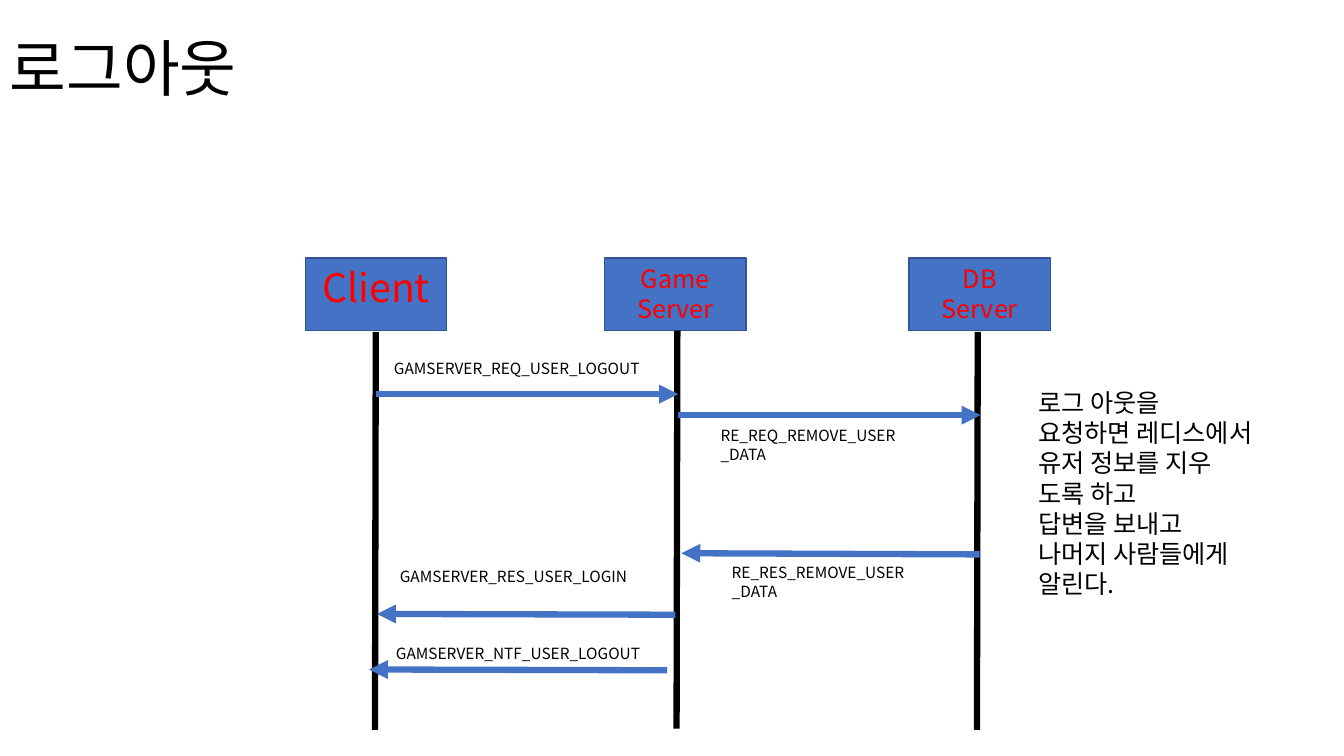
from lxml import etree
from pptx import Presentation
from pptx.dml.color import RGBColor
from pptx.enum import shapes, text
from pptx.oxml.ns import qn
from pptx.util import Cm, Pt

FONT = "Noto Sans CJK KR"
BLUE, BLACK, RED = "4472C4", "000000", "FF0000"

PARTICIPANTS = [
    (7.7, ["Client"], 28, (9.47, 8.36)),
    (15.24, ["Game", "Server"], 18, (17.07, 8.33)),
    (22.91, ["DB", "Server"], 18, (24.64, 8.36)),
]
MESSAGES = [
    ("GAMSERVER_REQ_USER_LOGOUT", (9.68, 8.92, 7.34), (9.47, 9.93), (17.09, 9.93)),
    ("RE_REQ_REMOVE_USER_DATA", (17.91, 10.62, 5.03), (17.09, 10.46), (24.71, 10.46)),
    ("RE_RES_REMOVE_USER_DATA", (18.19, 14.07, 5.03), (24.69, 13.97), (17.17, 13.94)),
    ("GAMSERVER_RES_USER_LOGIN", (9.83, 14.17, 7.34), (17.02, 15.49), (9.5, 15.47)),
    ("GAMSERVER_NTF_USER_LOGOUT", (9.73, 16.1, 7.34), (16.81, 16.89), (9.3, 16.87)),
]
EXPLANATION = [
    "로그 아웃을",
    "요청하면 레디스에서",
    "유저 정보를 지우",
    "도록 하고",
    "답변을 보내고",
    "나머지 사람들에게",
    "알린다.",
]


def rgb(value):
    return RGBColor.from_string(value)


def write(frame, lines, size, color, align=text.PP_ALIGN.LEFT, spacing=None):
    frame.word_wrap = True
    for index, line in enumerate(lines):
        paragraph = frame.paragraphs[0] if index == 0 else frame.add_paragraph()
        paragraph.text = line
        paragraph.alignment = align
        paragraph.line_spacing = spacing
        font = paragraph.font
        font.name = FONT
        font.size = Pt(size)
        font.color.rgb = rgb(color)
        defaults = paragraph._p.pPr.find(qn("a:defRPr"))
        etree.SubElement(defaults, qn("a:ea")).set("typeface", FONT)


def add_text(slide, left, top, width, height, lines, size, spacing=None):
    frame = slide.shapes.add_textbox(Cm(left), Cm(top), Cm(width), Cm(height)).text_frame
    write(frame, lines, size, BLACK, spacing=spacing)
    return frame


def add_line(slide, start, end, color, arrow=False):
    line = slide.shapes.add_connector(
        shapes.MSO_CONNECTOR.STRAIGHT, *[Cm(value) for value in (*start, *end)]
    )
    line.line.color.rgb = rgb(color)
    line.line.width = Pt(4.5)
    if arrow:
        etree.SubElement(line.line._get_or_add_ln(), qn("a:tailEnd")).set("type", "triangle")
    etree.SubElement(line._element.spPr, qn("a:effectLst"))


def add_participant(slide, left, lines, size):
    box = slide.shapes.add_shape(
        shapes.MSO_SHAPE.RECTANGLE, Cm(left), Cm(6.5), Cm(3.56), Cm(1.83)
    )
    box.shadow.inherit = False
    box.fill.solid()
    box.fill.fore_color.rgb = rgb(BLUE)
    box.line.color.rgb = rgb("325491")
    box.line.width = Pt(1)
    box.text_frame.vertical_anchor = text.MSO_ANCHOR.TOP
    write(box.text_frame, lines, size, RED, text.PP_ALIGN.CENTER)


def main():
    deck = Presentation()
    deck.slide_width, deck.slide_height = Cm(33.87), Cm(19.05)
    slide = deck.slides.add_slide(deck.slide_layouts[6])

    title = add_text(slide, 0, -0.03, 29.21, 3.68, ["로그아웃"], 44, 0.9)
    title.vertical_anchor = text.MSO_ANCHOR.MIDDLE

    for left, lines, size, (x, top) in PARTICIPANTS:
        add_participant(slide, left, lines, size)
        add_line(slide, (x, top), (x - 0.02, top + 10.03), BLACK)

    for label, (left, top, width), start, end in MESSAGES:
        add_line(slide, start, end, BLUE, arrow=True)
        add_text(slide, left, top, width, 0.73, [label], 11)

    add_text(slide, 25.91, 9.63, 6.5, 6.4, EXPLANATION, 18)
    deck.save("out.pptx")


if __name__ == "__main__":
    main()
